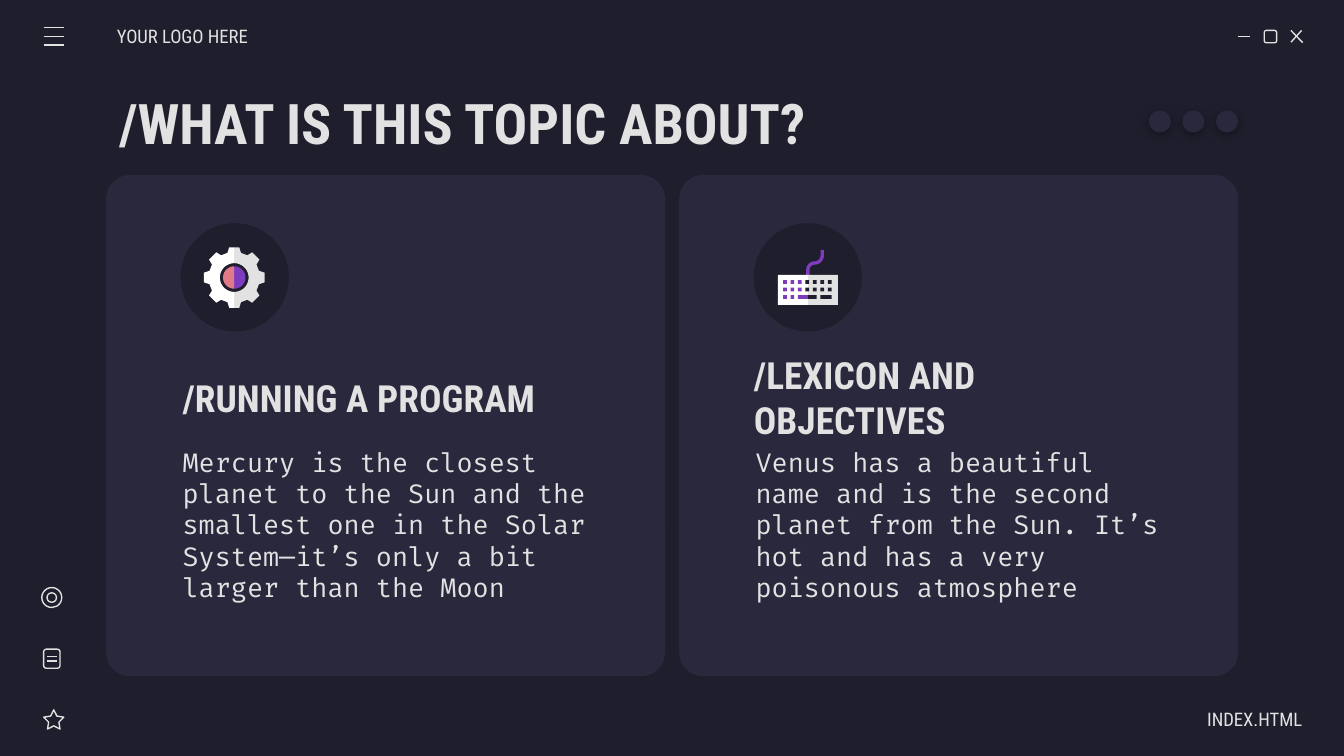
import math
from dataclasses import dataclass

from lxml import etree
from pptx import Presentation
from pptx.dml.color import RGBColor
from pptx.enum import shapes, text
from pptx.oxml import ns
from pptx.util import Pt

COLORS = {
    "background": "1E1E2C",
    "panel": "29283D",
    "light": "E2E2E2",
    "white": "FFFFFF",
    "purple": "7E3BBE",
    "pink": "E07A88",
}
TITLE_FONT, BODY_FONT = "Roboto Condensed", "Fira Code"
CARD_PITCH = 307
KEY, KEY_PITCH = 2, 4
Point = tuple[float, float]


@dataclass
class Box:
    left: float
    top: float
    width: float
    height: float


@dataclass
class Label:
    words: str
    box: Box
    size: float
    font: str = TITLE_FONT
    bold: bool = False
    align: text.PP_ALIGN = text.PP_ALIGN.LEFT
    margin_left: float = 7.2
    margin_right: float = 7.2


@dataclass
class Card:
    heading: str
    heading_box: Box
    heading_margin: float
    body: str


LABELS = [
    Label("/WHAT IS THIS TOPIC ABOUT?", Box(56.7, 42.5, 607, 45.4), 30, bold=True),
    Label("YOUR LOGO HERE", Box(62.6, 8.6, 84.2, 21.6), 10, margin_left=0),
    Label("INDEX.HTML", Box(613.4, 374.4, 84.2, 21.6), 10,
          align=text.PP_ALIGN.RIGHT, margin_right=0),
]
CARDS = [
    Card("/RUNNING A PROGRAM", Box(90.7, 194.4, 231.8, 36.7), 7.2,
         "Mercury is the closest planet to the Sun and the smallest one "
         "in the Solar System—it’s only a bit larger than the Moon"),
    Card("/LEXICON AND OBJECTIVES", Box(403.9, 201.9, 231.8, 21.6), 0,
         "Venus has a beautiful name and is the second planet from the Sun. "
         "It’s hot and has a very poisonous atmosphere"),
]
LINES = [
    (663.1, 19.6, 669.8, 19.6), (691.6, 16.3, 697.9, 22.9), (697.3, 16.3, 691.6, 22.6),
    *[(23.4, y, 34.2, y) for y in (14.8, 19.5, 24.2)],
    *[(25.2, y, 30.3, y) for y in (351.6, 354.2)],
]
OUTLINES = [
    (shapes.MSO_SHAPE.ROUNDED_RECTANGLE, Box(677.3, 16.3, 6.6, 6.6), (0.167,)),
    (shapes.MSO_SHAPE.ROUNDED_RECTANGLE, Box(23.4, 347.8, 8.8, 10.2), (0.167,)),
    (shapes.MSO_SHAPE.OVAL, Box(22.4, 314.8, 10.7, 10.7), ()),
    (shapes.MSO_SHAPE.OVAL, Box(25.2, 317.6, 5.1, 5.1), ()),
    (shapes.MSO_SHAPE.STAR_5_POINT, Box(23.4, 380.3, 10.8, 10.3), (0.254, 1.051, 1.106)),
]


def color(name: str) -> RGBColor:
    return RGBColor.from_string(COLORS[name])


def set_format(target, values: dict) -> None:
    for name, value in values.items():
        setattr(target, name, value)


def place(box: Box) -> list:
    return [Pt(value) for value in (box.left, box.top, box.width, box.height)]


def add_shape(slide, kind, box: Box, fill=None, adjustments=()):
    """Draw a filled shape, or a light outline when no fill is given."""
    shape = slide.shapes.add_shape(kind, *place(box))
    shape.shadow.inherit = False
    for index, value in enumerate(adjustments):
        shape.adjustments[index] = value
    if fill:
        shape.fill.solid()
        shape.fill.fore_color.rgb = color(fill)
        shape.line.fill.background()
    else:
        shape.fill.background()
        shape.line.color.rgb = color("light")
        shape.line.width = Pt(0.75)
    return shape


def add_line(slide, ends: tuple) -> None:
    connector = slide.shapes.add_connector(
        shapes.MSO_CONNECTOR.STRAIGHT, *[Pt(value) for value in ends])
    connector.line.color.rgb = color("light")
    connector.line.width = Pt(0.75)
    etree.SubElement(connector.element.spPr, ns.qn("a:effectLst"))


def add_label(slide, label: Label) -> None:
    frame = slide.shapes.add_textbox(*place(label.box)).text_frame
    set_format(frame, {
        "word_wrap": True,
        "vertical_anchor": text.MSO_ANCHOR.MIDDLE,
        "margin_left": Pt(label.margin_left),
        "margin_right": Pt(label.margin_right),
        "margin_top": Pt(7.2),
        "margin_bottom": Pt(7.2),
    })
    paragraph = frame.paragraphs[0]
    paragraph.alignment = label.align
    run = paragraph.add_run()
    run.text = label.words
    set_format(run.font, {"name": label.font, "size": Pt(label.size), "bold": label.bold})
    run.font.color.rgb = color("light")


def add_outline(slide, points: list[Point], fill: str) -> None:
    corners = [(Pt(x), Pt(y)) for x, y in points]
    builder = slide.shapes.build_freeform(*corners[0])
    builder.add_line_segments(corners[1:], close=True)
    shape = builder.convert_to_shape()
    shape.shadow.inherit = False
    shape.fill.solid()
    shape.fill.fore_color.rgb = color(fill)
    shape.line.fill.background()


def arc(x: float, y: float, radius: float, start: int, end: int) -> list[Point]:
    """Points every 10 degrees, clockwise from the right."""
    angles = range(start, end + (10 if end > start else -10), 10 if end > start else -10)
    return [(x + radius * math.cos(math.radians(a)), y + radius * math.sin(math.radians(a)))
            for a in angles]


def add_gear(slide, x: float, y: float) -> None:
    upper = [(0, -16.2), (2.7, -16.2), (3.6, -13.2), (7, -11.9), (9.6, -13.5),
             (13.5, -9.6), (11.9, -7), (13.2, -3.6), (16.2, -2.6)]
    rim = upper + [(dx, -dy) for dx, dy in reversed(upper)]
    hub = arc(0, 0, 6, -90, 90)
    hole = arc(0, 0, 7.7, 90, -90)

    def add_half(points: list[Point], side: int, fill: str) -> None:
        add_outline(slide, [(x + side * dx, y + dy) for dx, dy in points], fill)

    # The right halves reach slightly under the left ones.
    add_half(hub + [(-1.4, 0)], 1, "purple")
    add_half(hub, -1, "pink")
    add_half(rim + [(-1.4, 11.5)] + hole + [(-1.4, -11.5)], 1, "light")
    add_half(rim + hole, -1, "white")


def add_keyboard(slide, left: float, top: float) -> None:
    bend_x, upper_y, lower_y = left + 19.6, top - 10.5, top - 2.8
    cable = ([(bend_x + 5, top - 13.4)] + arc(bend_x, upper_y, 5, 0, 90)
             + arc(bend_x, lower_y, 2.7, 270, 180)
             + [(bend_x - 2.7, top + 1.7), (bend_x - 4.5, top + 1.7)]
             + arc(bend_x, lower_y, 4.5, 180, 270)
             + arc(bend_x, upper_y, 3.2, 90, 0) + [(bend_x + 3.2, top - 13.4)])
    add_outline(slide, cable, "purple")

    def add_block(dx: float, dy: float, width: float, height: float, fill: str) -> None:
        add_shape(slide, shapes.MSO_SHAPE.RECTANGLE,
                  Box(left + dx, top + dy, width, height), fill)

    add_block(15, 0, 17.1, 16.1, "light")
    add_block(0, 0, 16, 16.1, "white")
    for row, columns in enumerate((7, 7, 2)):
        for column in range(columns):
            add_block(2.7 + column * KEY_PITCH, 2.8 + row * KEY_PITCH, KEY, KEY,
                      "purple" if column < 3 else "background")
    for dx, width, fill in ((22.7, 6, "background"), (15, 5.7, "background"),
                            (10.7, 5.3, "purple")):
        add_block(dx, 2.8 + 2 * KEY_PITCH, width, KEY, fill)


def add_dot(slide, left: float) -> None:
    dot = add_shape(slide, shapes.MSO_SHAPE.OVAL, Box(left, 59.2, 11.7, 11.7), "panel")
    effects = dot.element.spPr.find(ns.qn("a:effectLst"))
    shadow = etree.SubElement(effects, ns.qn("a:outerShdw"), blurRad=str(Pt(4.5)),
                              dist=str(Pt(1.5)), dir="5400000", algn="bl", rotWithShape="0")
    tint = etree.SubElement(shadow, ns.qn("a:srgbClr"), val="000000")
    etree.SubElement(tint, ns.qn("a:alpha"), val="30000")


def main() -> None:
    presentation = Presentation()
    presentation.slide_width, presentation.slide_height = Pt(720), Pt(405)
    slide = presentation.slides.add_slide(presentation.slide_layouts[6])
    slide.background.fill.solid()
    slide.background.fill.fore_color.rgb = color("background")

    for index, card in enumerate(CARDS):
        shift = index * CARD_PITCH
        add_shape(slide, shapes.MSO_SHAPE.ROUNDED_RECTANGLE,
                  Box(56.9 + shift, 93.8, 299.4, 268.5), "panel", (0.047,))
        add_shape(slide, shapes.MSO_SHAPE.OVAL, Box(96.8 + shift, 119.6, 58, 58), "background")
        add_label(slide, Label(card.heading, card.heading_box, 20, bold=True,
                               margin_left=card.heading_margin))
        add_label(slide, Label(card.body, Box(90.7 + shift, 230.6, 231.8, 100.8), 14, BODY_FONT))
    add_gear(slide, 125.5, 148.7)
    add_keyboard(slide, 416.8, 147.3)

    for ends in LINES:
        add_line(slide, ends)
    for kind, box, adjustments in OUTLINES:
        add_shape(slide, kind, box, adjustments=adjustments)
    for index in range(3):
        add_dot(slide, 615.5 + 18 * index)
    for label in LABELS:
        add_label(slide, label)
    presentation.save("out.pptx")


if __name__ == "__main__":
    main()
